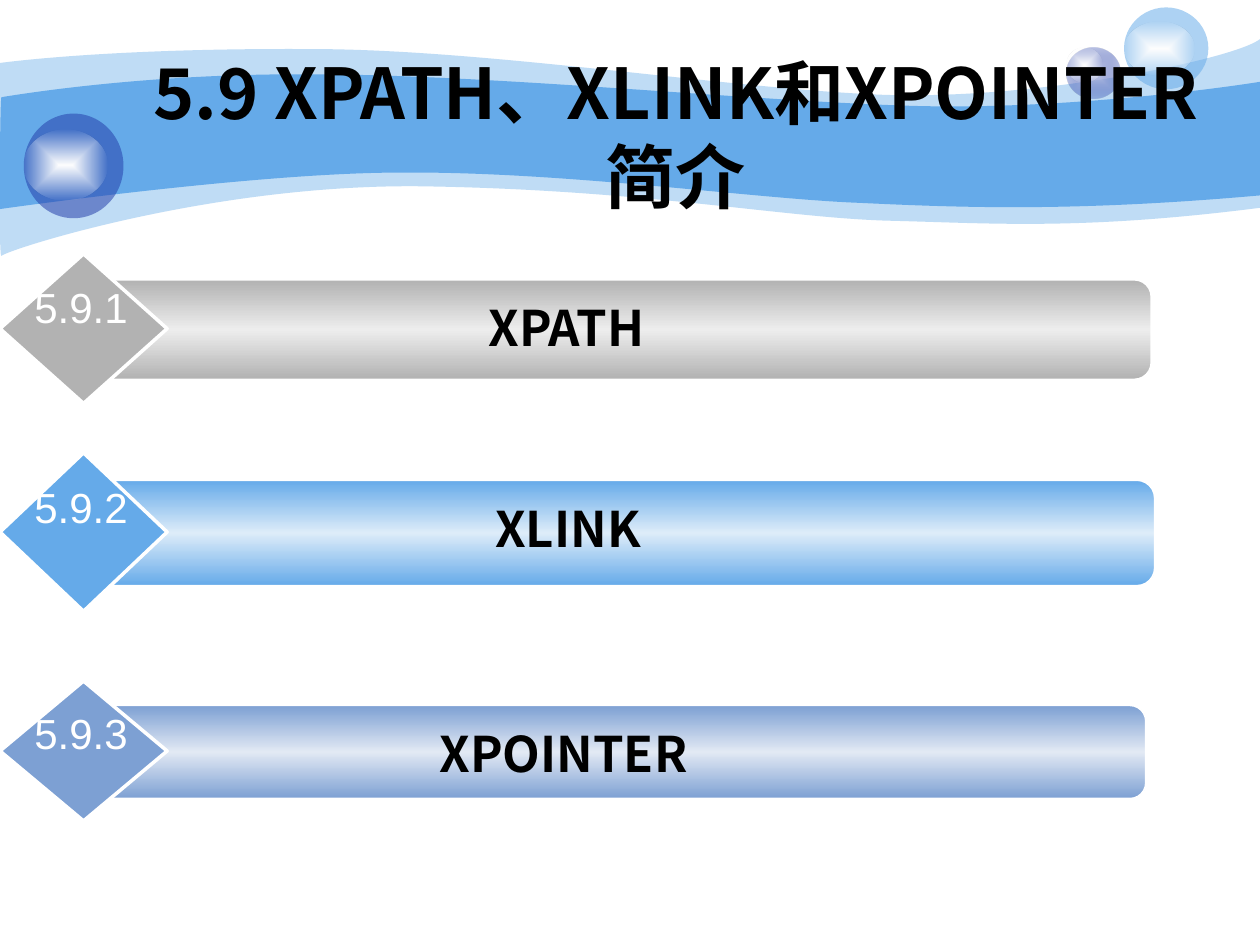
from lxml import etree
from pptx import Presentation
from pptx.dml.color import RGBColor
from pptx.enum.shapes import MSO_SHAPE
from pptx.enum.text import MSO_ANCHOR, MSO_AUTO_SIZE, PP_ALIGN
from pptx.oxml.ns import qn
from pptx.util import Cm, Pt

OVAL, ROUND, GEM = MSO_SHAPE.OVAL, MSO_SHAPE.ROUNDED_RECTANGLE, MSO_SHAPE.DIAMOND
CENTER, MIDDLE, NO_FIT = PP_ALIGN.CENTER, MSO_ANCHOR.MIDDLE, MSO_AUTO_SIZE.NONE

BLACK = RGBColor(0x00, 0x00, 0x00)
WHITE = RGBColor(0xFF, 0xFF, 0xFF)
CLEAR = RGBColor(0xFE, 0xFE, 0xFE)
SKY = RGBColor(0x65, 0xAA, 0xE9)
ICE = RGBColor(0xDD, 0xEC, 0xF9)
NAVY = RGBColor(0x23, 0x3D, 0xA9)
LILAC = RGBColor(0xC6, 0xCC, 0xE8)
GREY = RGBColor(0xB2, 0xB2, 0xB2)
PALE = RGBColor(0xED, 0xED, 0xED)
STEEL = RGBColor(0x7D, 0xA0, 0xD3)
MIST = RGBColor(0xE2, 0xE9, 0xF4)
BOLD_FONT = "Noto Sans CJK SC"


def paint(shape, stops, line=None):
    """Fill with (colour, opacity) stops: one is solid, two glow from the centre, three run down."""
    shape.shadow.inherit = False
    if line:
        shape.line.color.rgb = WHITE
        shape.line.width = Pt(line)
    else:
        shape.line.fill.background()
    shape.fill.solid()
    shape.fill.fore_color.rgb = stops[0][0]
    solid = shape._element.spPr.find(qn("a:solidFill"))
    if len(stops) == 1:
        hosts = [solid[0]]
    else:
        grad = etree.Element(qn("a:gradFill"), rotWithShape="1")
        row = etree.SubElement(grad, qn("a:gsLst"))
        hosts = []
        for i, (color, alpha) in enumerate(stops):
            stop = etree.SubElement(row, qn("a:gs"), pos=str(100000 * i // (len(stops) - 1)))
            hosts.append(etree.SubElement(stop, qn("a:srgbClr"), val=str(color)))
        if len(stops) == 2:
            way = etree.SubElement(grad, qn("a:path"), path="rect")
            etree.SubElement(way, qn("a:fillToRect"), l="50000", t="50000", r="50000", b="50000")
        else:
            etree.SubElement(grad, qn("a:lin"), ang="5400000", scaled="1")
        solid.getparent().replace(solid, grad)
    for host, (color, alpha) in zip(hosts, stops):
        if alpha < 100:
            etree.SubElement(host, qn("a:alpha"), val=str(alpha * 1000))


def write(frame, text, size, color, face, bold):
    para = frame.paragraphs[0]
    para.alignment = CENTER
    run = para.add_run()
    run.text = text
    font = run.font
    font.name, font.size, font.bold = face, Pt(size), bold
    font.color.rgb = color
    etree.SubElement(run._r.get_or_add_rPr(), qn("a:ea"), typeface=face)


prs = Presentation()
prs.slide_width, prs.slide_height = Cm(25.4), Cm(19.05)
slide = prs.slides.add_slide(prs.slide_layouts[5])
shapes = slide.shapes

# Header waves: start point, then edges in cm (two numbers a line, six a Bezier curve)
waves = [
    (41, (0, 1.27), [
        (0.61, 1.19, 2.72, 0.97, 6.27, 0.99), (9.8, 0.99, 14.61, 1.78, 17.75, 1.91),
        (20.88, 2.03, 24.89, 1.19, 25.4, 0.79), (25.4, 4.19),
        (21.79, 4.65, 19.99, 4.5, 17.91, 4.45), (15.8, 4.39, 13.08, 3.84, 8.71, 3.76),
        (4.37, 3.66, 0.1, 5.05, 0.03, 5.16), (-0.03, 5.28, 0, 1.91, 0, 1.27)]),
    (100, (0.03, 1.96), [
        (0.05, 1.96, 2.79, 1.47, 6.3, 1.5), (9.8, 1.5, 15.11, 2.03, 18.24, 2.13),
        (21.36, 2.24, 24.79, 1.75, 25.4, 1.65), (25.4, 3.94),
        (21.67, 4.27, 19.43, 4.19, 17.32, 4.09), (15.21, 4.01, 11.35, 3.45, 8.05, 3.48),
        (5.16, 3.48, -0.05, 4.22, -0.03, 4.22), (0, 4.22, 0, 1.96, 0.03, 1.96)]),
]
for alpha, start, edges in waves:
    pen = shapes.build_freeform(Cm(start[0]), Cm(start[1]))
    for edge in edges:
        dots = [(Cm(x), Cm(y)) for x, y in zip(edge[::2], edge[1::2])]
        pen.add_line_segments(dots, close=edge is edges[-1])
    wave = pen.convert_to_shape()
    # Each run of three points becomes one curve
    legs = iter(list(wave._element.iter(qn("a:lnTo"))))
    for edge in edges:
        leg = next(legs)
        if len(edge) == 6:
            leg.addprevious(curve := etree.Element(qn("a:cubicBezTo")))
            for part in (leg, next(legs), next(legs)):
                curve.append(part[0])
                part.getparent().remove(part)
    paint(wave, [(SKY, alpha)])

# Bubbles: ball box, shine box, ball colours
bubbles = [
    ((21.51, 0.97, 1.07, 1.02), (21.51, 0.97, 0.71, 0.69), [(LILAC, 100), (NAVY, 31)]),
    ((22.66, 0.15, 1.7, 1.65), (22.66, 0.43, 1.42, 1.09), [(SKY, 53)]),
    ((0.48, 2.29, 2.01, 2.11), (0.48, 2.62, 1.68, 1.42), [(NAVY, 53)]),
]
for ball, shine, tint in bubbles:
    group = shapes.add_group_shape().shapes
    for box, stops in ((ball, tint), (shine, [(WHITE, 100), (CLEAR, 0)])):
        paint(group.add_shape(OVAL, *map(Cm, box)), stops)

title = shapes.title
title.left, title.top, title.width, title.height = map(Cm, (2.54, 1.91, 22.17, 1.57))
frame = title.text_frame
frame.word_wrap, frame.auto_size, frame.vertical_anchor = True, NO_FIT, MIDDLE
write(frame, "5.9 XPATH、XLINK和XPOINTER简介", 40, BLACK, BOLD_FONT, True)
shapes._spTree.append(title._element)  # in front of the header art

# Topics: number, name, edge and middle colour, bar top, width and height
topics = [
    ("5.9.1", "XPATH", GREY, PALE, 5.64, 21.34, 2.01),
    ("5.9.2", "XLINK", SKY, ICE, 9.68, 21.41, 2.13),
    ("5.9.3", "XPOINTER", STEEL, MIST, 14.22, 21.23, 1.88),
]
for number, name, edge, light, top, width, height in topics:
    group = shapes.add_group_shape().shapes
    bar = group.add_shape(ROUND, Cm(1.87), Cm(top), Cm(width), Cm(height))
    bar.adjustments[0] = 0.17
    paint(bar, [(edge, 100), (light, 100), (edge, 100)], 1)
    gem = group.add_shape(GEM, Cm(0), Cm(top - height / 4 - 0.02), Cm(3.37), Cm(height * 1.5))
    paint(gem, [(edge, 100)], 2)
    label = group.add_textbox(Cm(2.99), Cm(top + 0.24), Cm(width - 4.49), Cm(1.45)).text_frame
    label.word_wrap = True
    write(label, name, 28, BLACK, BOLD_FONT, True)
    label = group.add_textbox(Cm(0.44), Cm(top - 0.09), Cm(2.39), Cm(1.27)).text_frame
    label.word_wrap = False
    write(label, number, 24, WHITE, "Arial", False)

prs.save("out.pptx")
